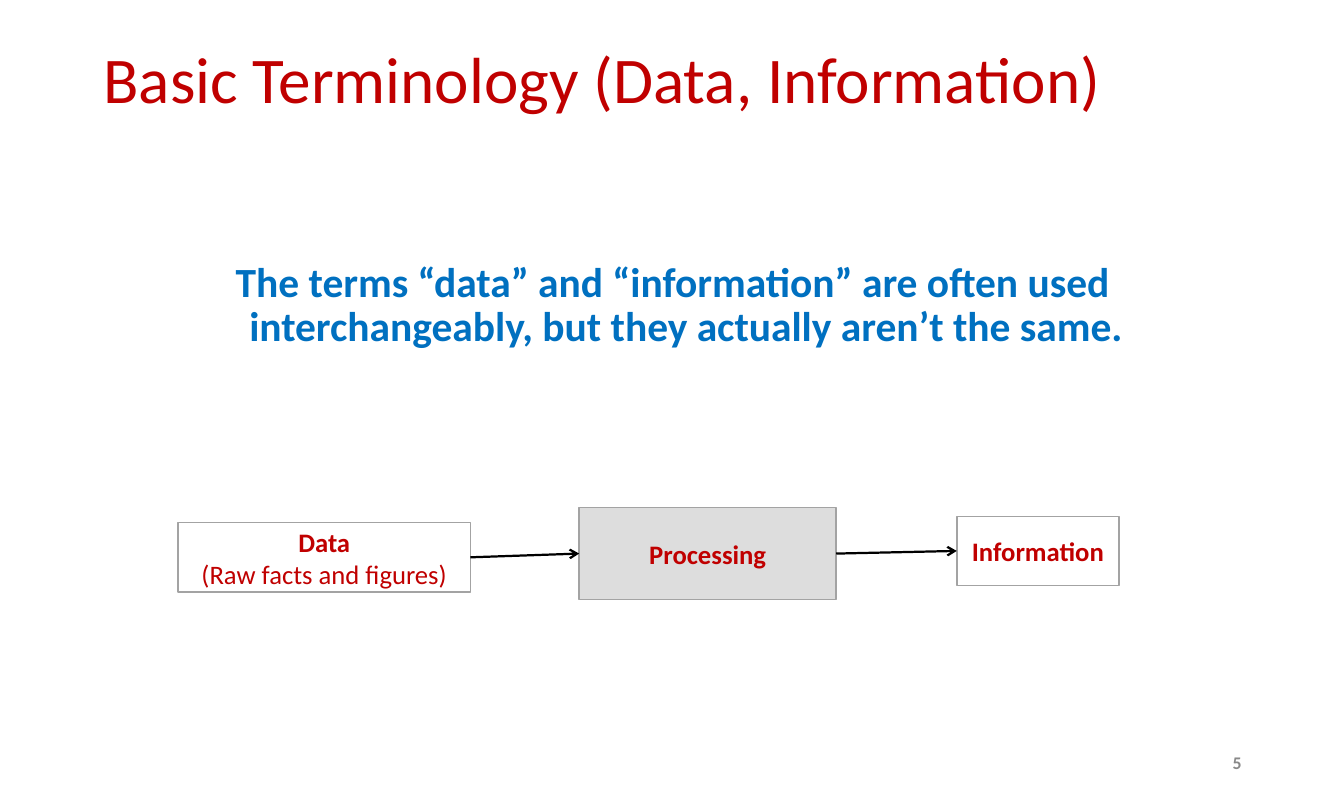
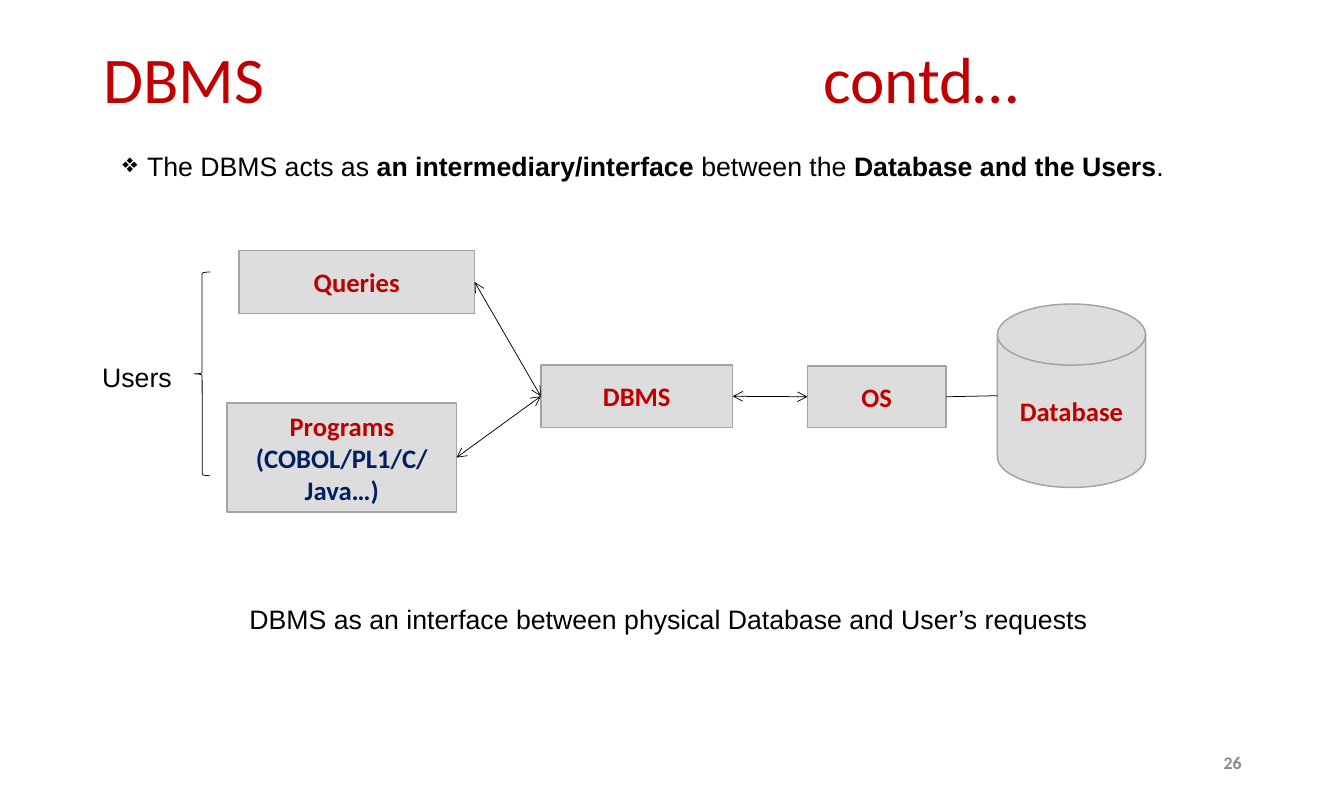
import pptx
import pptx.dml.color
import pptx.enum.shapes
import pptx.enum.text
import pptx.oxml.ns
import pptx.util
from lxml import etree

Inches, Pt = pptx.util.Inches, pptx.util.Pt
SHAPE = pptx.enum.shapes.MSO_SHAPE
ALIGN = pptx.enum.text.PP_ALIGN
ANCHOR = pptx.enum.text.MSO_ANCHOR
FIT = pptx.enum.text.MSO_AUTO_SIZE
LEFT, RIGHT = 1, 3

COLORS = {"red": "C00000", "blue": "0070C0", "navy": "002060", "black": "000000",
          "box": "DDDDDD", "edge": "A3A3A3", "number": "898989"}
STYLES = {
    "title": {"name": "Calibri", "size": Pt(44), "color": "red"},
    "statement": {"name": "Calibri", "size": Pt(28), "bold": True, "color": "blue"},
    "label": {"name": "Calibri", "size": Pt(18), "bold": True, "color": "red"},
    "text": {"name": "Arial", "size": Pt(18), "color": "black"},
    "number": {"name": "Calibri", "size": Pt(12), "bold": True, "color": "number"},
}


def rgb(color):
    return pptx.dml.color.RGBColor.from_string(COLORS[color])


def sub(parent, tag, **attrs):
    """Append a DrawingML child element."""
    return etree.SubElement(parent, pptx.oxml.ns.qn(tag), attrs)


def hang(p, indent):
    """Give a paragraph a hanging indent and return its properties."""
    pPr = p._p.get_or_add_pPr()
    pPr.set("marL", str(Inches(indent)))
    pPr.set("indent", str(-Inches(indent)))
    return pPr


class Deck:
    def __init__(self, width, height):
        self.prs = pptx.Presentation()
        self.prs.slide_width, self.prs.slide_height = Inches(width), Inches(height)
        self.s = None

    def set_text(self, tf, paragraphs, style, **para):
        """Fill a frame; each paragraph is a string or a list of (text, changes)."""
        for i, runs in enumerate(paragraphs):
            p = tf.paragraphs[0] if i == 0 else tf.add_paragraph()
            for name, value in para.items():
                setattr(p, name, value)
            for text, changes in [(runs, {})] if isinstance(runs, str) else runs:
                r = p.add_run()
                r.text = text
                for name, value in {**STYLES[style], **changes}.items():
                    if name == "color":
                        r.font.color.rgb = rgb(value)
                    else:
                        setattr(r.font, name, value)

    def slide(self, title, number, tab=None):
        self.s = self.prs.slides.add_slide(self.prs.slide_layouts[5])
        sp = self.s.shapes.title
        place = {"left": 0.87, "top": 0.4, "width": 10.87, "height": 0.75}
        for name, value in place.items():
            setattr(sp, name, Inches(value))
        tf = sp.text_frame
        tf.auto_size, tf.vertical_anchor = FIT.NONE, ANCHOR.MIDDLE
        self.set_text(tf, [title], "title", alignment=ALIGN.LEFT, line_spacing=0.9)
        if tab:
            tabs = sub(tf.paragraphs[0]._p.get_or_add_pPr(), "a:tabLst")
            sub(tabs, "a:tab", pos=str(Inches(tab)), algn="l")
        self.text([11.01, 6.95, 0.73, 0.4], [number], "number",
                  anchor=ANCHOR.MIDDLE, alignment=ALIGN.RIGHT)

    def text(self, at, paragraphs, style="text", wrap=True, anchor=ANCHOR.TOP, **para):
        tf = self.s.shapes.add_textbox(*map(Inches, at)).text_frame
        tf.word_wrap, tf.vertical_anchor = wrap, anchor
        self.set_text(tf, paragraphs, style, **para)
        return tf

    def bullet(self, at, runs, char="❖", indent=0.23):
        tf = self.text(at, [runs], alignment=ALIGN.JUSTIFY)
        sub(hang(tf.paragraphs[0], indent), "a:buChar", char=char)

    def shape(self, kind, at, fill=None, line="edge", weight=1):
        sp = self.s.shapes.add_shape(kind, *map(Inches, at))
        sp.shadow.inherit = False
        if fill:
            sp.fill.solid()
            sp.fill.fore_color.rgb = rgb(fill)
        else:
            sp.fill.background()
        sp.line.color.rgb, sp.line.width = rgb(line), Pt(weight)
        return sp

    def box(self, at, *paragraphs, fill="box", kind=SHAPE.RECTANGLE):
        sp = self.shape(kind, at, fill)
        tf = sp.text_frame
        tf.word_wrap, tf.vertical_anchor = True, ANCHOR.MIDDLE
        self.set_text(tf, paragraphs, "label", alignment=ALIGN.CENTER)
        return sp

    def link(self, start, end, weight=0.5, head=True, tail=True):
        """Join the right side of start to the left side of end, a box or a point."""
        c = self.s.shapes.add_connector(pptx.enum.shapes.MSO_CONNECTOR.STRAIGHT, 0, 0, 0, 0)
        c.begin_connect(start, RIGHT)
        if isinstance(end, tuple):
            c.end_x, c.end_y = map(Inches, end)
        else:
            c.end_connect(end, LEFT)
        c.line.color.rgb, c.line.width = rgb("black"), Pt(weight)
        spPr = c._element.spPr
        ln = spPr.find(pptx.oxml.ns.qn("a:ln"))
        for tag, wanted in (("a:headEnd", head), ("a:tailEnd", tail)):
            if wanted:
                sub(ln, tag, type="arrow")
        sub(spPr, "a:effectLst")


def terminology_slide(deck):
    deck.slide("Basic Terminology (Data, Information)", "5")
    tf = deck.text([0.87, 2.4, 10.87, 1],
                   ["The terms “data” and “information” are often used "
                    "interchangeably, but they actually aren’t the same."],
                   "statement", alignment=ALIGN.CENTER, line_spacing=0.9)
    hang(tf.paragraphs[0], 0.25)

    processing = deck.box([5.43, 4.76, 2.41, 0.86], "Processing")
    data = deck.box([1.67, 4.9, 2.74, 0.65], "Data",
                    [("(Raw facts and figures)", {"bold": False})], fill=None)
    information = deck.box([8.97, 4.84, 1.52, 0.65], "Information", fill=None)
    for start, end in ((data, processing), (processing, information)):
        deck.link(start, end, weight=1.5, head=False)


def dbms_slide(deck):
    deck.slide("DBMS\tcontd…", "26", tab=6.75)
    bold = {"bold": True}
    deck.bullet([1.05, 1.36, 10.02, 0.4],
                [("The DBMS acts as ", {}), ("an intermediary/interface ", bold),
                 ("between the ", {}), ("Database and the Users", bold), (".", {})])

    navy = {"color": "navy"}
    queries = deck.box([2.24, 2.35, 2.21, 0.59], "Queries")
    programs = deck.box([2.13, 3.78, 2.15, 1.02], "Programs",
                        [("(COBOL/PL1/C/", navy)], [("Java…)", navy)])
    dbms = deck.box([5.07, 3.42, 1.8, 0.59], "DBMS")
    system = deck.box([7.57, 3.43, 1.3, 0.58], "OS")
    deck.box([9.35, 2.85, 1.39, 1.72], "Database", kind=SHAPE.FLOWCHART_MAGNETIC_DISK)
    for start, end in ((queries, dbms), (programs, dbms), (dbms, system)):
        deck.link(start, end)
    deck.link(system, (9.35, 3.71), head=False, tail=False)

    deck.shape(SHAPE.LEFT_BRACE, [1.82, 2.55, 0.15, 1.91], line="black", weight=0.5)
    deck.text([0.86, 3.33, 0.86, 0.4], ["Users"], wrap=False)
    deck.text([2.24, 5.6, 8.82, 0.4],
              ["DBMS as an interface between physical Database and User’s requests"])


def main():
    deck = Deck(12.6, 7.5)
    terminology_slide(deck)
    dbms_slide(deck)
    deck.prs.save("out.pptx")


if __name__ == "__main__":
    main()
